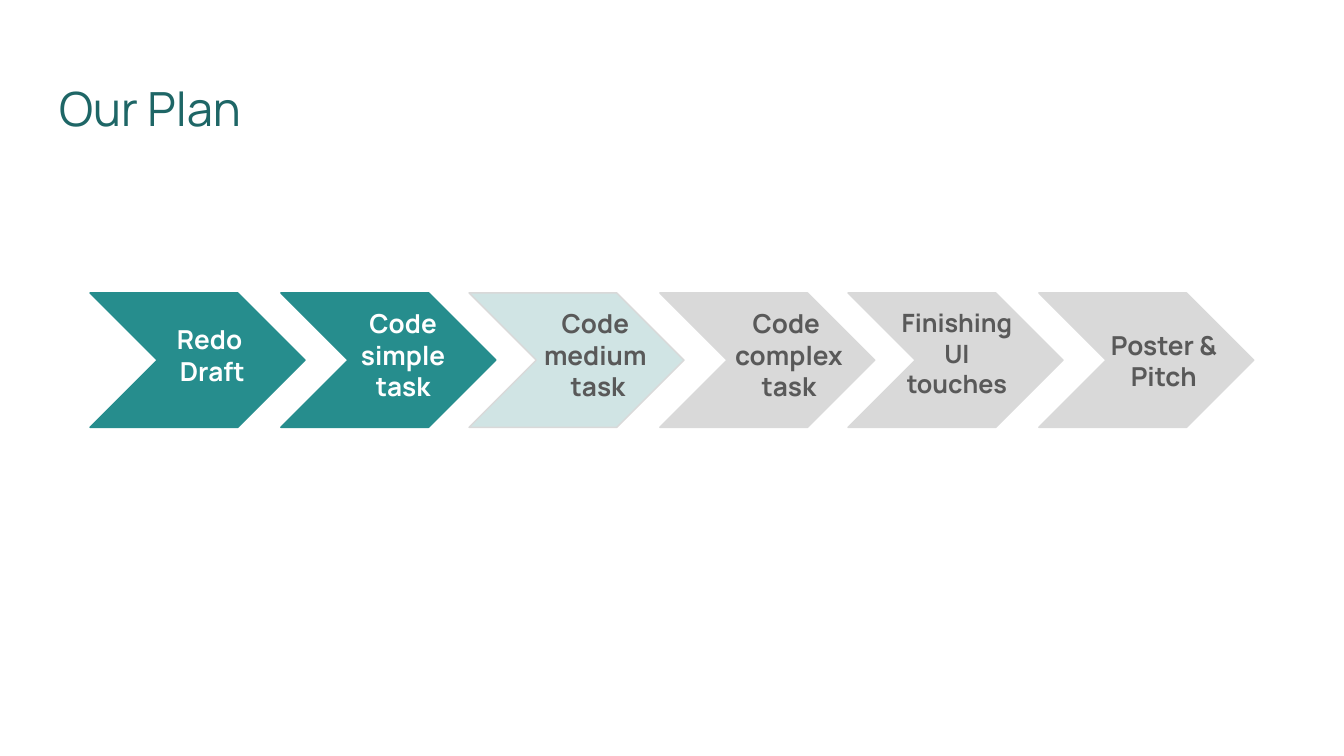
from dataclasses import dataclass

from pptx import Presentation
from pptx.dml.color import RGBColor
from pptx.enum.shapes import MSO_SHAPE
from pptx.enum.text import MSO_ANCHOR, PP_ALIGN
from pptx.util import Inches, Pt


@dataclass(frozen=True)
class Theme:
    font: str = "Manrope"
    title: str = "1E6666"
    done: str = "268D8D"
    now: str = "D0E4E4"
    later: str = "D9D9D9"
    light: str = "FFFFFF"
    dark: str = "595959"
    head: float = 25.2
    label: float = 14
    small: float = 13.5


theme = Theme()


def write(shape, text, size, color, align, bold=False):
    """Fill the shape with text, one paragraph per line, and format it."""
    frame = shape.text_frame
    frame.text = text
    frame.word_wrap = True
    frame.vertical_anchor = MSO_ANCHOR.TOP
    frame.margin_left = frame.margin_right = Inches(0.1)
    frame.margin_top = frame.margin_bottom = Inches(0.1)
    for para in frame.paragraphs:
        para.alignment = align
        for run in para.runs:
            run.font.name = theme.font
            run.font.size = Pt(size)
            run.font.bold = bold
            run.font.color.rgb = RGBColor.from_string(color)


deck = Presentation()
deck.slide_width = Inches(10)
deck.slide_height = deck.slide_width * 9 // 16
slide = deck.slides.add_slide(deck.slide_layouts[5])

title = slide.shapes.title
title.left, title.top = Inches(0.34), Inches(0.49)
title.width, title.height = Inches(9.32), Inches(0.63)
write(title, "Our Plan", theme.head, theme.title, PP_ALIGN.LEFT)

# Fill, line and text colour of each state
done = (theme.done, theme.done, theme.light)
now = (theme.now, theme.later, theme.dark)
later = (theme.later, theme.later, theme.dark)

# Label, state, type size, then left, top, width and height of the label
steps = [
    ("Redo \nDraft", done, theme.label, (1.08, 2.31, 1, 0.7)),
    ("Code simple task", done, theme.label, (2.45, 2.19, 1.1, 0.97)),
    ("Code \nmedium \ntask", now, theme.label, (3.9, 2.19, 1.1, 0.97)),
    ("Code \ncomplex\ntask", later, theme.label, (5.32, 2.19, 1.1, 0.97)),
    ("Finishing UI touches", later, theme.small, (6.56, 2.19, 1.12, 0.97)),
    ("Poster & Pitch", later, theme.label, (8.11, 2.35, 1.1, 0.63)),
]

# The arrows stand in pairs
left, pair, mate = 0.67, 2.82, 1.42

for i, (text, (fill, line, ink), size, area) in enumerate(steps):
    x = left + i // 2 * pair + i % 2 * mate
    arrow = slide.shapes.add_shape(
        MSO_SHAPE.CHEVRON, Inches(x), Inches(2.18), Inches(1.6), Inches(1)
    )
    arrow.shadow.inherit = False
    arrow.fill.solid()
    arrow.fill.fore_color.rgb = RGBColor.from_string(fill)
    arrow.line.color.rgb = RGBColor.from_string(line)
    arrow.line.width = Pt(0.75)

    label = slide.shapes.add_textbox(*map(Inches, area))
    write(label, text, size, ink, PP_ALIGN.CENTER, bold=True)

deck.save("out.pptx")
